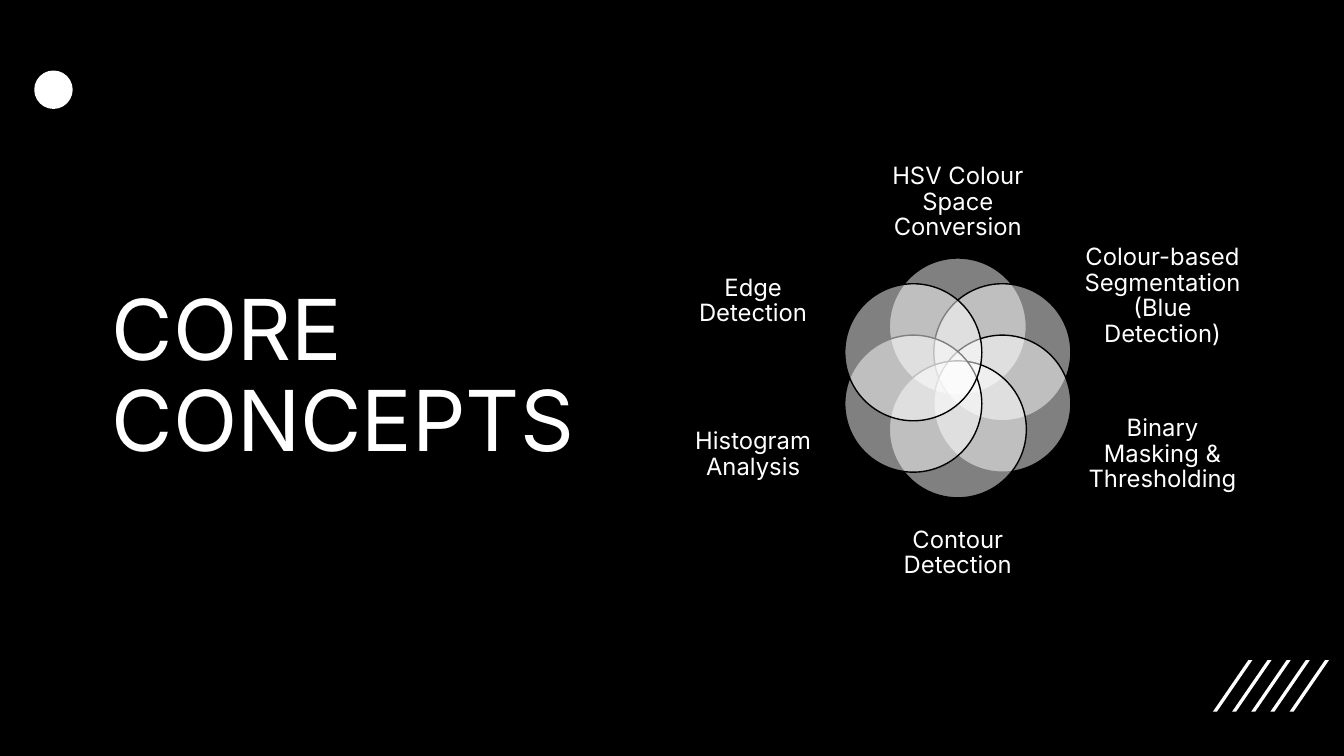
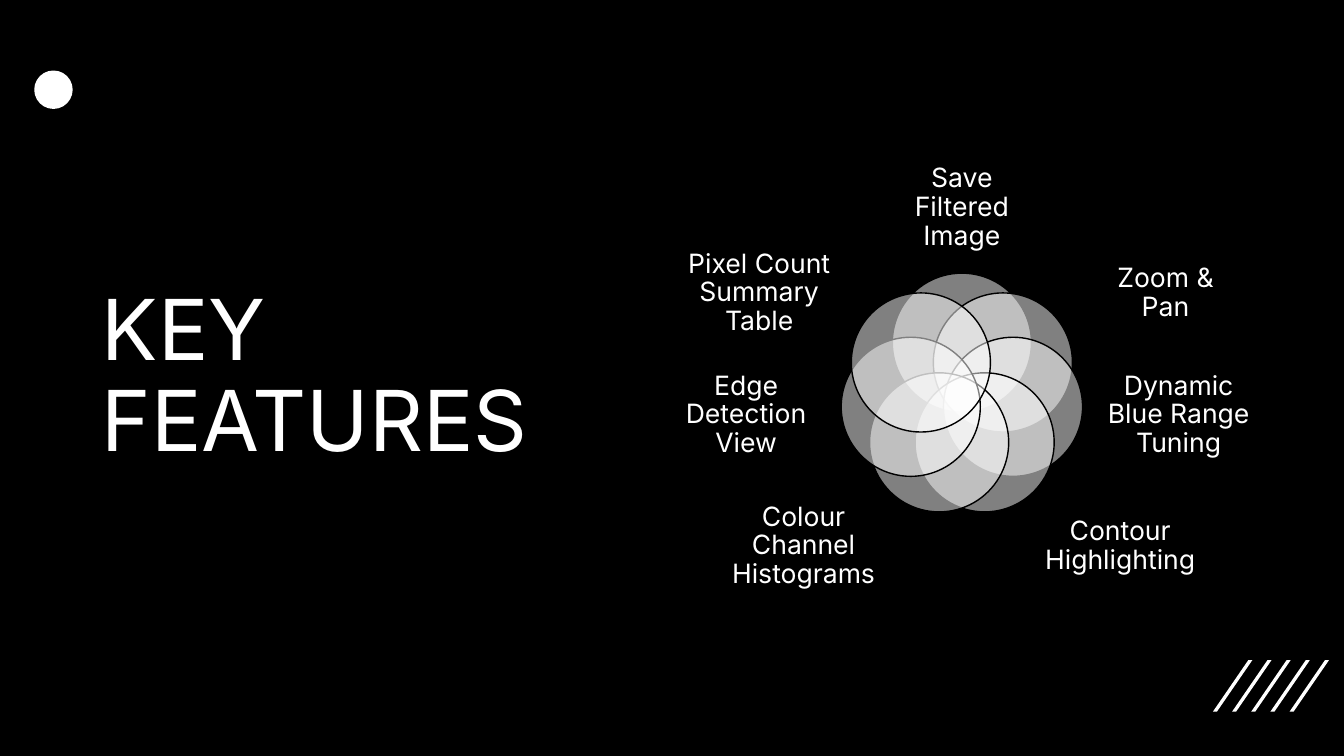
from math import cos, pi, sin

from lxml import etree
from pptx import Presentation
from pptx.dml.color import RGBColor
from pptx.enum.shapes import MSO_SHAPE
from pptx.enum.text import MSO_ANCHOR, PP_ALIGN
from pptx.oxml.ns import qn
from pptx.util import Inches, Pt

OVAL = MSO_SHAPE.OVAL
MIDDLE, BOTTOM = MSO_ANCHOR.MIDDLE, MSO_ANCHOR.BOTTOM
LEFT, CENTER = PP_ALIGN.LEFT, PP_ALIGN.CENTER
WHITE, BLACK = "FFFFFF", "000000"
FONT = "Inter"
TITLE = {
    "frame": {"word_wrap": True, "vertical_anchor": BOTTOM},
    "para": {"alignment": LEFT, "line_spacing": 0.9},
    "font": {"name": FONT, "size": Pt(60)},
}
LABEL = {
    "frame": {"word_wrap": True, "vertical_anchor": MIDDLE, "margin_left": 0,
              "margin_right": 0, "margin_top": 0, "margin_bottom": 0},
    "para": {"alignment": CENTER, "line_spacing": 0.9},
    "font": {"name": FONT},
}

CORE = {
    "title": "CORE CONCEPTS", "box": (1.01, 2.79, 4.83, 1.92),
    "mid": (9.5, 3.75), "radius": 0.51, "size": 1.36, "text": 17,
    "labels": [
        ("HSV Colour Space Conversion", 0, -1.74, 1.7, 0.93),
        ("Colour-based Segmentation (Blue Detection)", 2.03, -0.81, 1.61, 1.01),
        ("Binary Masking & Thresholding", 2.03, 0.76, 1.61, 1.13),
        ("Contour Detection", 0, 1.74, 1.7, 0.93),
        ("Histogram Analysis", -2.03, 0.76, 1.61, 1.13),
        ("Edge Detection", -2.03, -0.76, 1.61, 1.13),
    ],
}
KEY = {
    "title": "KEY FEATURES", "box": (0.91, 2.79, 5.76, 1.92),
    "mid": (9.54, 3.92), "radius": 0.52, "size": 1.38, "text": 19,
    "labels": [
        ("Save Filtered Image", 0, -1.86, 1.58, 0.85),
        ("Zoom & Pan", 2.02, -1.01, 1.5, 0.93),
        ("Dynamic Blue Range Tuning", 2.15, 0.2, 1.47, 1),
        ("Contour Highlighting", 1.57, 1.5, 1.58, 0.91),
        ("Colour Channel Histograms", -1.57, 1.5, 1.58, 0.91),
        ("Edge Detection View", -2.14, 0.2, 1.47, 1),
        ("Pixel Count Summary Table", -2.01, -1.01, 1.5, 0.93),
    ],
}


def paint(fill, color):
    """Make a fill solid in a hex colour."""
    fill.solid()
    fill.fore_color.rgb = RGBColor.from_string(color)


def apply(item, values):
    """Set each named value on an item."""
    for name, value in values.items():
        setattr(item, name, value)


def write(slide, box, text, style, size=None):
    """Add white text in a box with a shared style."""
    frame = slide.shapes.add_textbox(*map(Inches, box)).text_frame
    para = frame.paragraphs[0]
    run = para.add_run()
    run.text = text
    apply(frame, style["frame"])
    apply(para, style["para"])
    apply(run.font, style["font"])
    if size:
        run.font.size = Pt(size)
    paint(run.font.fill, WHITE)


def disc(slide, x, y, size, line, width, alpha=None):
    """Add a white disc around a centre, see-through if alpha is given."""
    box = (x - size / 2, y - size / 2, size, size)
    shape = slide.shapes.add_shape(OVAL, *map(Inches, box))
    shape.shadow.inherit = False
    paint(shape.fill, WHITE)
    paint(shape.line.fill, line)
    shape.line.width = Pt(width)
    if alpha:
        color = shape.fill._xPr.find(qn("a:solidFill"))[0]
        etree.SubElement(color, qn("a:alpha")).set("val", str(alpha * 1000))


def stripes(slide, left, top, count=5, step=0.19):
    """Add a row of slanted bars from a top left corner."""
    wide, high, thick = 0.39, 0.51, 0.04
    for i in range(count):
        x = left + i * step
        points = [(x + thick, top + high), (x, top + high),
                  (x + wide - thick, top), (x + wide, top)]
        dots = [(Inches(a), Inches(b)) for a, b in points]
        pen = slide.shapes.build_freeform(*dots[0])
        pen.add_line_segments(dots[1:], close=True)
        bar = pen.convert_to_shape()
        bar.shadow.inherit = False
        paint(bar.fill, WHITE)
        bar.line.fill.background()


def flower(slide, mid, radius, size, text, labels):
    """Add a ring of overlapping discs with a label beside each."""
    x, y = mid
    for i, (words, dx, dy, wide, high) in enumerate(labels):
        turn = 2 * pi * i / len(labels)
        disc(slide, x + radius * sin(turn), y - radius * cos(turn),
             size, BLACK, 1, 50)
        box = (x + dx - wide / 2, y + dy - high / 2, wide, high)
        write(slide, box, words, LABEL, text)


def page(deck, title, box, **ring):
    """Add a slide with the shared marks, a title and a flower."""
    slide = deck.slides.add_slide(deck.slide_layouts[6])
    stripes(slide, 12.03, 6.55)
    disc(slide, 0.53, 0.89, 0.35, WHITE, 2.25)
    write(slide, box, title, TITLE)
    flower(slide, **ring)


def main():
    """Build and save the deck."""
    deck = Presentation()
    apply(deck, {"slide_width": Inches(13.33), "slide_height": Inches(7.5)})
    paint(deck.slide_master.background.fill, BLACK)
    for data in (CORE, KEY):
        page(deck, **data)
    deck.save("out.pptx")


if __name__ == "__main__":
    main()
